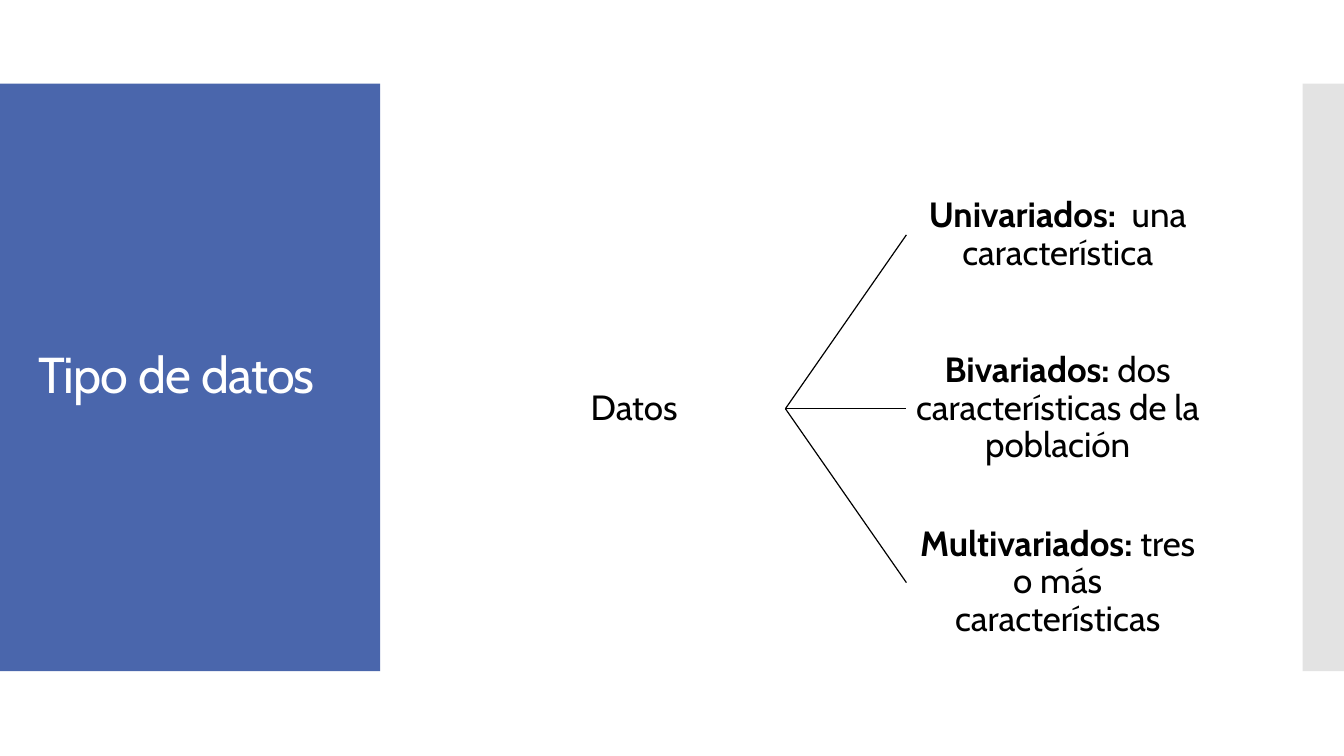
import pptx
import pptx.util
import pptx.dml.color
import pptx.enum.shapes
import pptx.enum.text
import pptx.oxml
import pptx.oxml.ns

Inches = pptx.util.Inches
Pt = pptx.util.Pt
FONT = "Cabin"
KINDS = [
    ("Univariados:", "\u00a0 una característica".replace("\u00a0", " ")),
    ("Bivariados:", " dos características de la población"),
    ("Multivariados:", " tres o más características"),
]


def color(hex_code):
    """Return the colour for a hex string."""
    return pptx.dml.color.RGBColor.from_string(hex_code)


def style_run(run, size, hex_code, bold=False):
    """Set the font, size, colour and weight of a run."""
    run.font.name = FONT
    run.font.size = Pt(size)
    run.font.bold = bold
    run.font.color.rgb = color(hex_code)


def add_block(slide, preset, box, hex_code):
    """Add a plain filled shape in a box given in inches."""
    block = slide.shapes.add_shape(preset, *map(Inches, box))
    block.shadow.inherit = False
    block.fill.solid()
    block.fill.fore_color.rgb = color(hex_code)
    block.line.fill.background()
    return block


def add_side_band(slide, box):
    """Add the half-transparent grey band at the right edge."""
    band = add_block(slide, pptx.enum.shapes.MSO_SHAPE.RECTANGLE, box, "C8C8C8")
    tint = band.fill._xPr.find(".//" + pptx.oxml.ns.qn("a:srgbClr"))
    tint.append(pptx.oxml.parse_xml(
        f'<a:alpha {pptx.oxml.ns.nsdecls("a")} val="50000"/>'))


def add_title_panel(slide, box):
    """Add the blue panel with the slide title in front of it."""
    left, top, width, height = box
    add_block(slide, pptx.enum.shapes.MSO_SHAPE.RECTANGLE, box, "4A66AC")
    title = slide.shapes.title
    title.left, title.top = Inches(left + 0.28), Inches(top + 0.4)
    title.width, title.height = Inches(width - 0.55), Inches(height - 0.8)
    frame = title.text_frame
    frame.text = "Tipo de datos"
    frame.word_wrap = True
    frame.auto_size = pptx.enum.text.MSO_AUTO_SIZE.NONE
    frame.vertical_anchor = pptx.enum.text.MSO_ANCHOR.MIDDLE
    heading = frame.paragraphs[0]
    heading.alignment = pptx.enum.text.PP_ALIGN.LEFT
    heading.line_spacing = 0.9
    style_run(heading.runs[0], 36, "FFFFFF")
    heading.runs[0]._r.get_or_add_rPr().set("spc", "-60")
    slide.shapes._spTree.append(title._element)


def add_node(slide, box, term, meaning=""):
    """Add a tree node with a bold term and its plain meaning."""
    node = add_block(
        slide, pptx.enum.shapes.MSO_SHAPE.ROUNDED_RECTANGLE, box, "FFFFFF")
    node.adjustments[0] = 0.1
    frame = node.text_frame
    frame.word_wrap = True
    frame.vertical_anchor = pptx.enum.text.MSO_ANCHOR.MIDDLE
    frame.margin_left = frame.margin_right = Inches(0.02)
    frame.margin_top = frame.margin_bottom = Inches(0.02)
    label = frame.paragraphs[0]
    label.alignment = pptx.enum.text.PP_ALIGN.CENTER
    label.line_spacing = 0.9
    label.text = term
    style_run(label.runs[0], 25, "000000", bold=bool(meaning))
    if meaning:
        detail = label.add_run()
        detail.text = meaning
        style_run(detail, 25, "000000")
    return node


def add_branch(slide, parent, child):
    """Join the right side of a parent to the left side of a child."""
    branch = slide.shapes.add_connector(
        pptx.enum.shapes.MSO_CONNECTOR.STRAIGHT, 0, 0, 0, 0)
    branch.begin_connect(parent, 3)
    branch.end_connect(child, 1)
    branch.line.width = Pt(0.85)
    branch.line.color.rgb = color("000000")
    branch._element.spPr.append(pptx.oxml.parse_xml(
        f'<a:effectLst {pptx.oxml.ns.nsdecls("a")}/>'))


def add_data_tree(slide, box):
    """Add the root and its evenly spaced kinds of data."""
    left, top, width, height = box
    node_width, node_height = 3, 1.5
    step = (height - node_height) / (len(KINDS) - 1)
    root_top = top + (height - node_height) / 2
    root = add_node(slide, (left, root_top, node_width, node_height), "Datos")
    for row, (term, meaning) in enumerate(KINDS):
        kind_box = (left + width - node_width, top + row * step,
                    node_width, node_height)
        kind = add_node(slide, kind_box, term, meaning)
        add_branch(slide, root, kind)


def main():
    """Build and save the slide."""
    deck = pptx.Presentation()
    deck.slide_width, deck.slide_height = Inches(13.33), Inches(7.5)
    slide = deck.slides.add_slide(deck.slide_layouts[5])
    add_side_band(slide, (12.92, 0.83, 0.41, 5.83))
    add_title_panel(slide, (0, 0.83, 3.77, 5.83))
    add_data_tree(slide, (4.79, 1.58, 7.2, 4.95))
    deck.save("out.pptx")


if __name__ == "__main__":
    main()
